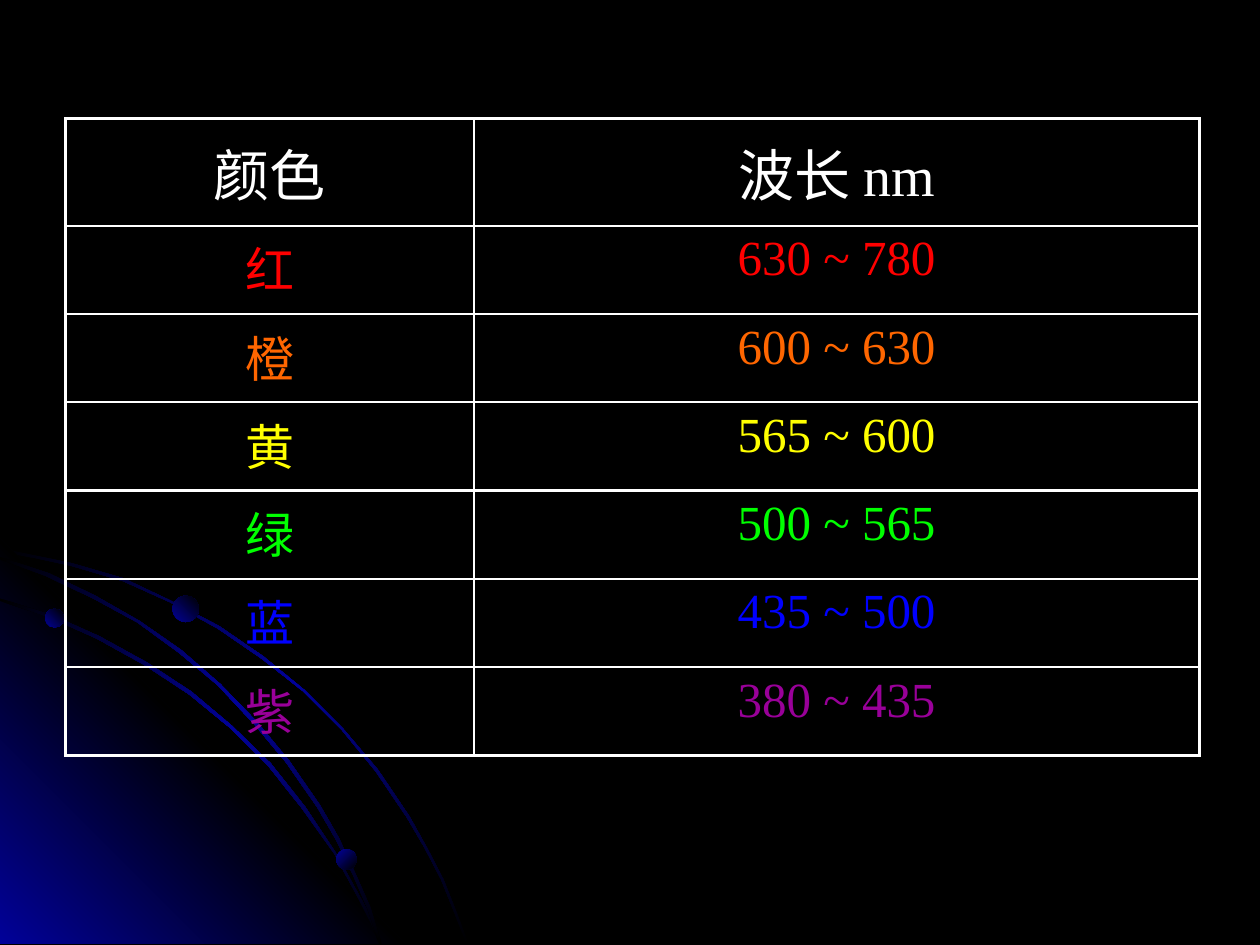
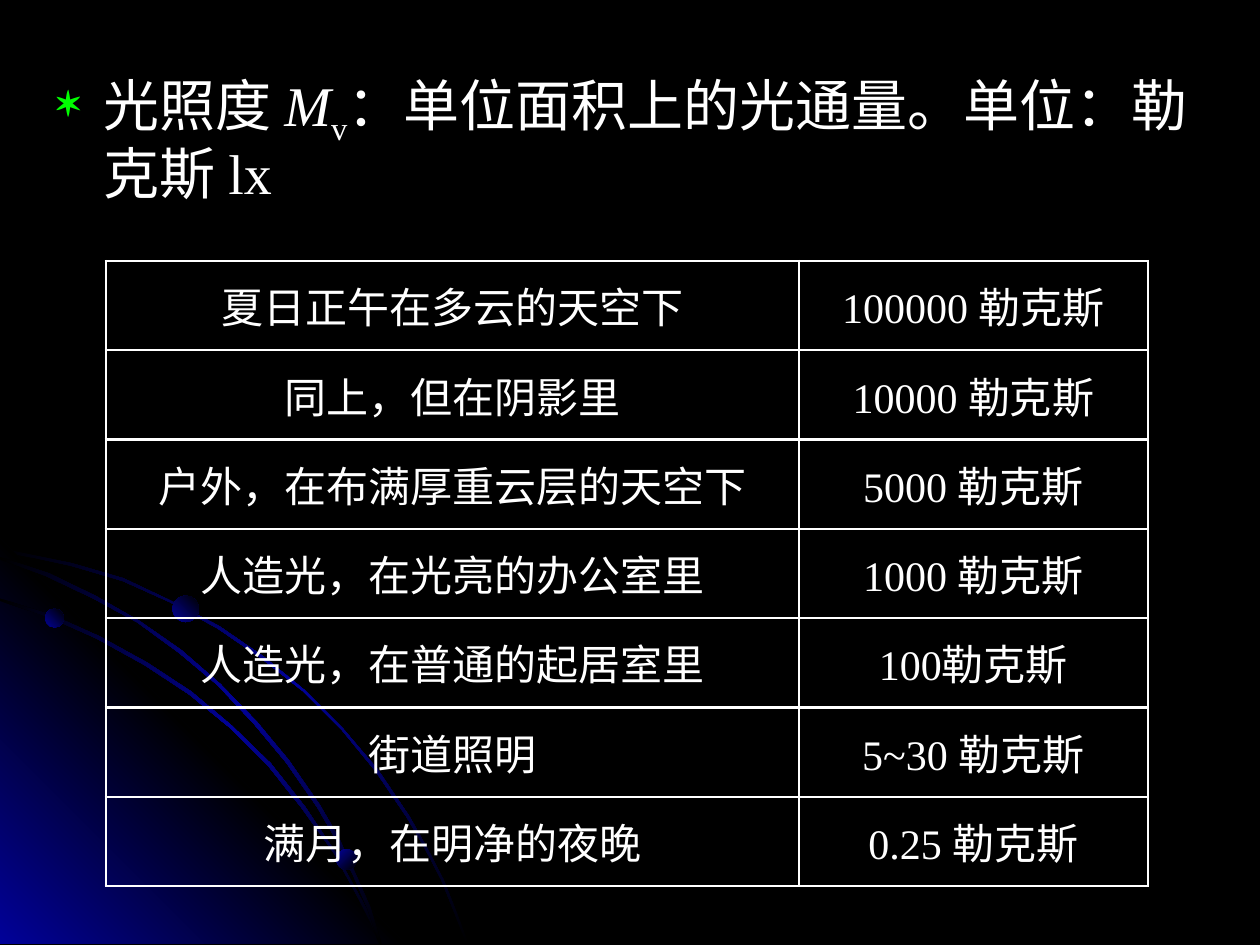
from pptx import Presentation
from pptx.dml.color import RGBColor
from pptx.enum.shapes import MSO_SHAPE
from pptx.enum.text import MSO_ANCHOR, PP_ALIGN
from pptx.oxml import parse_xml
from pptx.oxml.ns import nsdecls, qn
from pptx.util import Cm, Pt

OVAL = MSO_SHAPE.OVAL
MIDDLE, TOP = MSO_ANCHOR.MIDDLE, MSO_ANCHOR.TOP
CENTER, LEFT = PP_ALIGN.CENTER, PP_ALIGN.LEFT

FONT = "Times New Roman"
BLACK, WHITE, GLOW, BULLET_GREEN = "000000", "FFFFFF", "010199", "00FF00"

WAVELENGTH_HEAD = ("颜色", "波长 nm")
WAVELENGTHS = [
    ("红", "630 ~ 780", "FF0000"),
    ("橙", "600 ~ 630", "FF6600"),
    ("黄", "565 ~ 600", "FFFF00"),
    ("绿", "500 ~ 565", "00FF00"),
    ("蓝", "435 ~ 500", "0000FF"),
    ("紫", "380 ~ 435", "990099"),
]

ILLUMINANCE_DEFINITION = [
    ("光照度 ", {}),
    ("M", {"italic": True}),
    ("v", {"baseline": -25}),
    ("：单位面积上的光通量。单位：勒克斯 lx", {}),
]
ILLUMINANCES = [
    ("夏日正午在多云的天空下", "100000 勒克斯"),
    ("同上，但在阴影里", "10000 勒克斯"),
    ("户外，在布满厚重云层的天空下", "5000 勒克斯"),
    ("人造光，在光亮的办公室里", "1000 勒克斯"),
    ("人造光，在普通的起居室里", "100勒克斯"),
    ("街道照明", "5~30 勒克斯"),
    ("满月，在明净的夜晚", "0.25 勒克斯"),
]

# Backdrop outlines, in units of 0.0254 cm
UNIT = Cm(0.0254)
OUTER_STREAK = [
    (57, 447), (28, 441), (0, 435), (0, 438), (28, 443), (56, 449), (97, 461),
    (135, 478), (173, 499), (208, 523), (241, 549), (271, 579), (298, 612),
    (323, 649), (337, 673), (350, 698), (360, 723), (370, 749), (372, 749),
    (362, 723), (352, 698), (339, 673), (325, 648), (300, 611), (272, 578),
    (242, 548), (209, 521), (174, 497), (136, 477), (98, 459),
]
CORNER = [(322, 749), (0, 749), (0, 427)]
INNER_STREAK = [
    (285, 714), (294, 732), (301, 749), (303, 749), (296, 730), (286, 712),
    (266, 676), (242, 640), (215, 606), (184, 576), (152, 549), (117, 526),
    (79, 505), (41, 488), (0, 475), (0, 477), (39, 490), (77, 507), (115, 528),
    (150, 551), (183, 578), (213, 608), (240, 642), (265, 677),
]
MIDDLE_STREAK = [
    (0, 442), (0, 444), (36, 457), (74, 475), (109, 494), (142, 518), (173, 544),
    (202, 575), (227, 605), (252, 641), (267, 667), (280, 694), (292, 722),
    (301, 749), (303, 749), (294, 720), (282, 693), (269, 665), (254, 639),
    (229, 603), (204, 573), (175, 543), (144, 516), (111, 493), (76, 473), (39, 455),
]
STREAK_FILL = ((BLACK, GLOW, BLACK), 45)
OUTLINES = [
    (OUTER_STREAK, STREAK_FILL),
    (CORNER, ((GLOW, BLACK, GLOW), 315)),
    (INNER_STREAK, STREAK_FILL),
    (MIDDLE_STREAK, STREAK_FILL),
]
# left, top, diameter in cm, gradient angle
BEADS = [(0.91, 12.27, 0.38, 315), (6.78, 17.12, 0.41, 45), (3.48, 12.01, 0.53, 315)]


def rgb(value):
    return RGBColor.from_string(value)


def fill_gradient(shape, colours, angle):
    """Fill with evenly spaced colours; the angle runs clockwise in degrees."""
    step = 100000 // (len(colours) - 1)
    stops = "".join(
        f'<a:gs pos="{i * step}"><a:srgbClr val="{colour}"/></a:gs>'
        for i, colour in enumerate(colours))
    shape.fill.gradient()
    plain = shape.element.spPr.find(qn("a:gradFill"))
    plain.getparent().replace(plain, parse_xml(
        f'<a:gradFill {nsdecls("a")} rotWithShape="1"><a:gsLst>{stops}</a:gsLst>'
        f'<a:lin ang="{angle * 60000}" scaled="1"/></a:gradFill>'))
    shape.line.fill.background()
    shape.shadow.inherit = False


def build_backdrop(layout, slide):
    """Draw the backdrop on the slide, then move it to the layout all slides share."""
    layout.background.fill.solid()
    layout.background.fill.fore_color.rgb = rgb(BLACK)
    for placeholder in list(layout.placeholders):
        layout.shapes.element.remove(placeholder.element)
    for points, gradient in OUTLINES:
        builder = slide.shapes.build_freeform(*points[0], scale=UNIT)
        builder.add_line_segments(points[1:], close=True)
        fill_gradient(builder.convert_to_shape(), *gradient)
    for left, top, diameter, angle in BEADS:
        bead = slide.shapes.add_shape(OVAL, Cm(left), Cm(top), Cm(diameter), Cm(diameter))
        fill_gradient(bead, (GLOW, BLACK), angle)
    for shape in list(slide.shapes):
        layout.shapes.element.append(shape.element)


def write(paragraph, text, size=32, colour=WHITE, align=LEFT, italic=False, baseline=0):
    """Add one formatted run; baseline is a percentage, negative for subscript."""
    paragraph.alignment = align
    run = paragraph.add_run()
    run.text = text
    font = run.font
    font.name, font.size, font.italic = FONT, Pt(size), italic
    font.color.rgb = rgb(colour)
    if baseline:
        run._r.get_or_add_rPr().set("baseline", str(baseline * 1000))


def draw_borders(cell):
    properties = cell._tc.get_or_add_tcPr()
    for side in "LRTB":
        properties.append(parse_xml(
            f'<a:ln{side} {nsdecls("a")} w="{Pt(1.5)}"><a:solidFill>'
            f'<a:srgbClr val="{WHITE}"/></a:solidFill></a:ln{side}>'))


def add_grid(slide, left, top, widths, heights, rows):
    """Draw a table; each row is (texts, format of its runs, anchor). Lengths in cm."""
    grid = slide.shapes.add_table(
        len(rows), len(widths), Cm(left), Cm(top), Cm(sum(widths)), Cm(sum(heights))).table
    grid.first_row = grid.horz_banding = False
    for column, width in zip(grid.columns, widths):
        column.width = Cm(width)
    for r, (texts, text_format, anchor) in enumerate(rows):
        grid.rows[r].height = Cm(heights[r])
        for c, text in enumerate(texts):
            cell = grid.cell(r, c)
            draw_borders(cell)
            cell.fill.background()
            cell.vertical_anchor = anchor
            write(cell.text_frame.paragraphs[0], text, align=CENTER, **text_format)


def add_wavelengths(slide):
    rows = [(WAVELENGTH_HEAD, {}, MIDDLE)]
    rows += [((name, span), {"size": 28, "colour": colour}, TOP)
             for name, span, colour in WAVELENGTHS]
    heights = [2.16] + [1.78] * len(WAVELENGTHS)
    add_grid(slide, 1.32, 2.39, (8.23, 14.63), heights, rows)


def add_illuminances(slide):
    rows = [(texts, {"size": 24}, MIDDLE) for texts in ILLUMINANCES]
    add_grid(slide, 2.13, 5.26, (13.97, 7.04), [1.8] * len(rows), rows)


def add_definition(slide):
    frame = slide.shapes.add_textbox(Cm(0.89), Cm(1.3), Cm(23.6), Cm(3)).text_frame
    frame.word_wrap = True
    paragraph = frame.paragraphs[0]
    paragraph.line_spacing = 0.95
    properties = paragraph._p.get_or_add_pPr()
    properties.set("marL", str(Cm(0.95)))
    properties.set("indent", str(-Cm(0.95)))
    for bullet in (f'<a:buClr {nsdecls("a")}><a:srgbClr val="{BULLET_GREEN}"/></a:buClr>',
                   f'<a:buSzPct {nsdecls("a")} val="85000"/>',
                   f'<a:buChar {nsdecls("a")} char="✶"/>'):
        properties.append(parse_xml(bullet))
    for text, text_format in ILLUMINANCE_DEFINITION:
        write(paragraph, text, **text_format)


def main():
    deck = Presentation()
    deck.slide_width, deck.slide_height = Cm(25.4), Cm(19.05)
    blank = deck.slide_layouts[6]
    wavelength_slide = deck.slides.add_slide(blank)
    build_backdrop(blank, wavelength_slide)
    add_wavelengths(wavelength_slide)

    illuminance_slide = deck.slides.add_slide(blank)
    add_illuminances(illuminance_slide)
    add_definition(illuminance_slide)
    deck.save("out.pptx")


if __name__ == "__main__":
    main()
